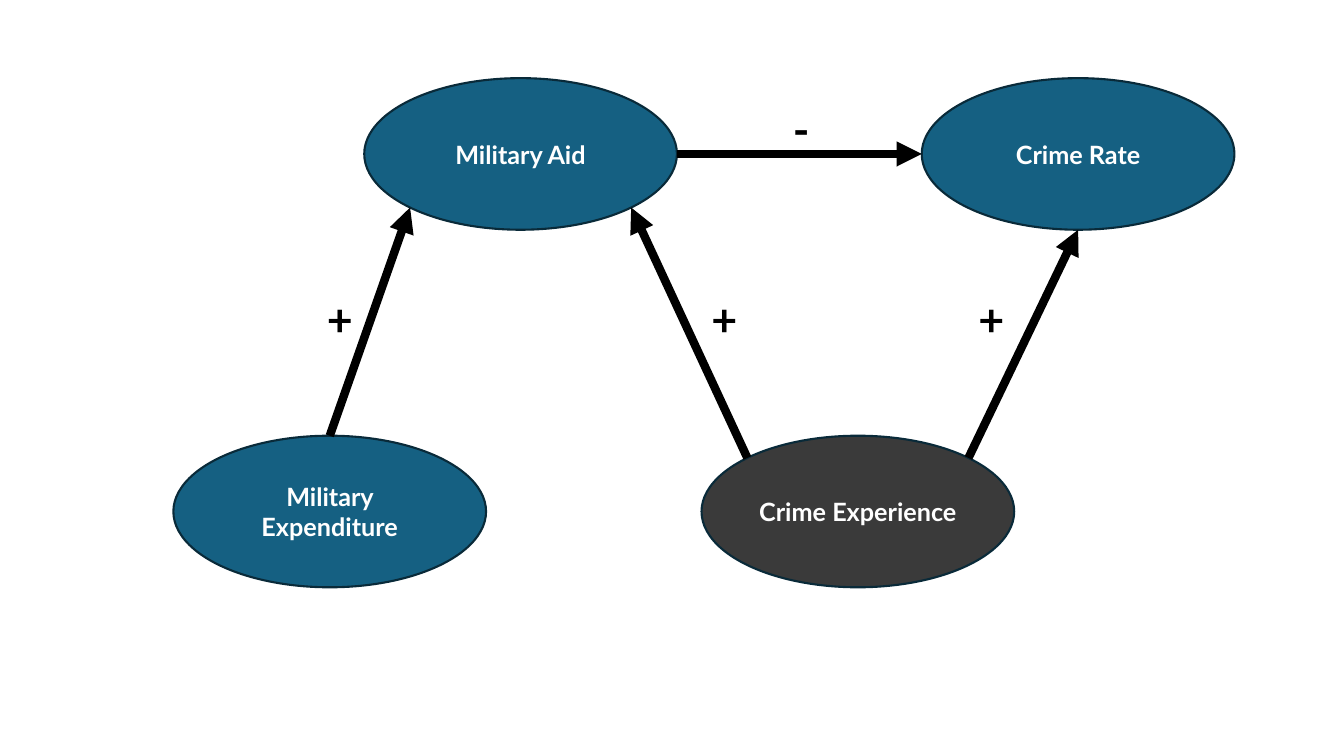
import math

import lxml.etree
import pptx
import pptx.dml.color
import pptx.enum.shapes
import pptx.enum.text
import pptx.oxml.ns
import pptx.util

Cm, Pt = pptx.util.Cm, pptx.util.Pt
qn = pptx.oxml.ns.qn
RGBColor = pptx.dml.color.RGBColor
ALIGN = pptx.enum.text.PP_ALIGN

BLUE = RGBColor(0x15, 0x60, 0x82)
CHARCOAL = RGBColor(0x3A, 0x3A, 0x3A)
OUTLINE = RGBColor(0x09, 0x2A, 0x39)
WHITE = RGBColor(0xFF, 0xFF, 0xFF)
BLACK = RGBColor(0x00, 0x00, 0x00)

NODE_W, NODE_H = Cm(7.88), Cm(3.82)
TOP_ROW, BOTTOM_ROW = Cm(1.97), Cm(10.98)

# Connection sites of an ellipse, counter-clockwise from the top
TOP, TOP_LEFT, LEFT, BOTTOM_LEFT, BOTTOM, BOTTOM_RIGHT, RIGHT, TOP_RIGHT = range(8)


def site_point(s, site):
    angle = math.pi / 2 + site * math.pi / 4
    return (round(s.left + s.width / 2 * (1 + math.cos(angle))),
            round(s.top + s.height / 2 * (1 - math.sin(angle))))


def add_text(tf, text, size, color, align):
    tf.word_wrap = True
    p = tf.paragraphs[0]
    p.alignment = align
    r = p.add_run()
    r.text = text
    r.font.name = "Lato"
    r.font.size = Pt(size)
    r.font.bold = True
    r.font.color.rgb = color


prs = pptx.Presentation()
prs.slide_width, prs.slide_height = Cm(33.87), Cm(19.05)
slide = prs.slides.add_slide(prs.slide_layouts[6])

# Variables
nodes = {}
for label, left, top, fill in [
    ("Crime Experience", 17.68, BOTTOM_ROW, CHARCOAL),
    ("Crime Rate", 23.23, TOP_ROW, BLUE),
    ("Military Aid", 9.18, TOP_ROW, BLUE),
    ("Military Expenditure", 4.37, BOTTOM_ROW, BLUE),
]:
    s = slide.shapes.add_shape(pptx.enum.shapes.MSO_SHAPE.OVAL, Cm(left), top, NODE_W, NODE_H)
    s.shadow.inherit = False
    s.fill.solid()
    s.fill.fore_color.rgb = fill
    s.line.color.rgb = OUTLINE
    s.line.width = Pt(1.5)
    s.text_frame.vertical_anchor = pptx.enum.text.MSO_ANCHOR.MIDDLE
    add_text(s.text_frame, label, 18, WHITE, ALIGN.CENTER)
    nodes[label] = s

# Effects: arrows glued to the ellipses
for source, source_site, target, target_site in [
    ("Crime Experience", TOP_LEFT, "Military Aid", BOTTOM_RIGHT),
    ("Crime Experience", TOP_RIGHT, "Crime Rate", BOTTOM),
    ("Military Aid", RIGHT, "Crime Rate", LEFT),
    ("Military Expenditure", TOP, "Military Aid", BOTTOM_LEFT),
]:
    start, end = nodes[source], nodes[target]
    arrow = slide.shapes.add_connector(
        pptx.enum.shapes.MSO_CONNECTOR.STRAIGHT,
        *site_point(start, source_site), *site_point(end, target_site))
    arrow.line.color.rgb = BLACK
    arrow.line.width = Pt(6)
    sp_pr = arrow._element.spPr
    lxml.etree.SubElement(sp_pr.find(qn("a:ln")), qn("a:tailEnd"), type="triangle")
    lxml.etree.SubElement(sp_pr, qn("a:effectLst"))
    glue = arrow._element.find(".//" + qn("p:cNvCxnSpPr"))
    for tag, s, site in [("a:stCxn", start, source_site), ("a:endCxn", end, target_site)]:
        lxml.etree.SubElement(glue, qn(tag), id=str(s.shape_id), idx=str(site))

# Signs of the effects
for sign, left, top, align in [
    ("+", 17.68, 7.22, ALIGN.LEFT),
    ("+", 24.41, 7.22, ALIGN.LEFT),
    ("-", 19.73, 2.45, ALIGN.CENTER),
    ("+", 7.99, 7.22, ALIGN.LEFT),
]:
    tf = slide.shapes.add_textbox(Cm(left), Cm(top), Cm(0.84), Cm(1.63)).text_frame
    tf.auto_size = pptx.enum.text.MSO_AUTO_SIZE.SHAPE_TO_FIT_TEXT
    add_text(tf, sign, 32, BLACK, align)

prs.save("out.pptx")
